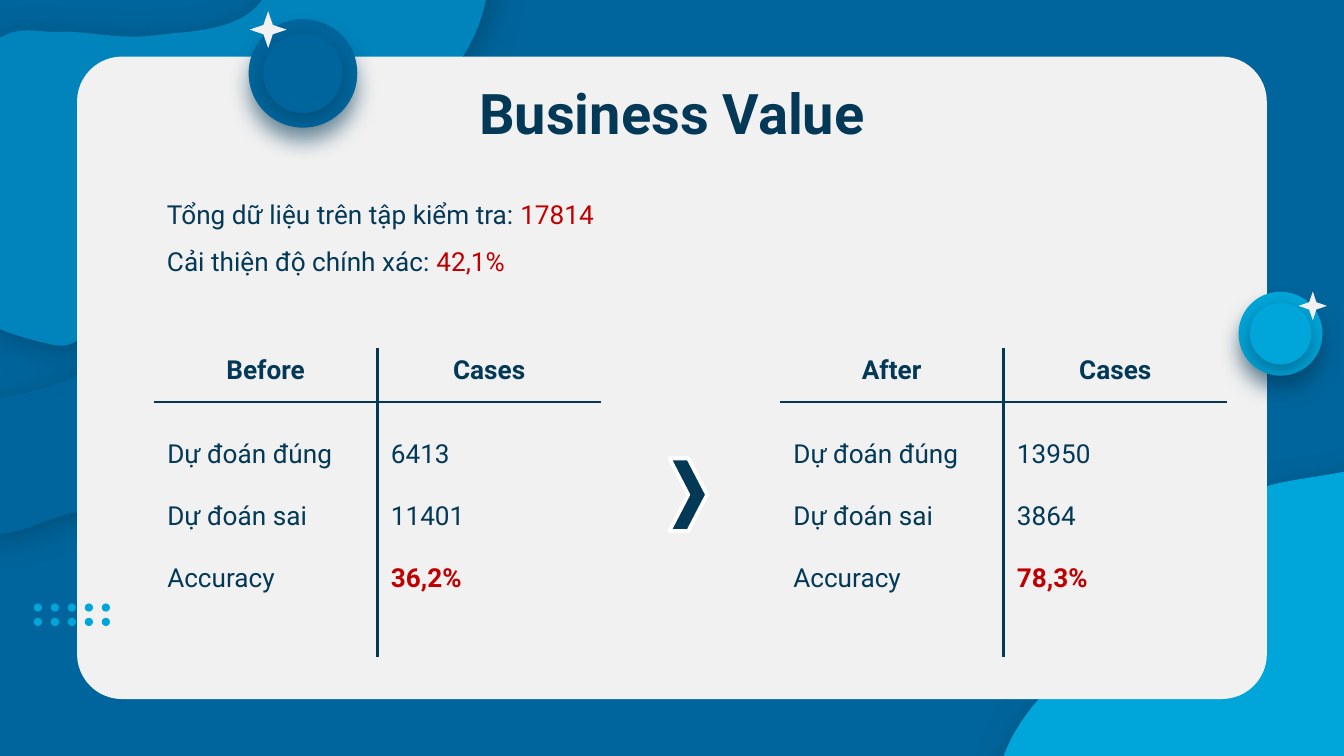
"""Build the Business Value slide comparing prediction accuracy before and after."""
from lxml import etree
from pptx import Presentation
from pptx.dml.color import RGBColor
from pptx.enum import shapes, text
from pptx.oxml import ns
from pptx.util import Pt

NAVY, DEEP, SKY, MID, PALE, RED = "033957", "00659C", "00A6D9", "0084BB", "F1F1F1", "C00000"
TITLE = "Business Value"
SUMMARY = [("Tổng dữ liệu trên tập kiểm tra: ", "17814"), ("Cải thiện độ chính xác: ", "42,1%")]
LABELS = ["Dự đoán đúng", "Dự đoán sai", "Accuracy"]
TABLES = [
    (82.4, "Before", ["6413", "11401", "36,2%"]),
    (417.8, "After", ["13950", "3864", "78,3%"]),
]
BLOBS = [
    (SKY, (16.9, 4.5, 80), [
        (814, 244), (829, 282), (762, 356), (824, 451), (773, 499), (724, 444), (679, 405),
        (569, 452), (536, 416), (562, 369), (602, 358), (639, 319), (661, 270), (713, 254)]),
    (DEEP, (16.9, 3, 71), [
        (142, 135), (184, 161), (163, 259), (107, 281), (46, 274), (-5, 285), (-30, 245),
        (-22, 221), (37, 203), (87, 168)]),
    (MID, (16.9, 3.8, 44), [
        (224, -103), (254, -90), (260, 2), (220, 59), (156, 69), (88, 104), (50, 174),
        (21, 183), (-32, 153), (-50, 71), (-3, 22), (32, 17), (82, 19), (138, 3), (166, -68)]),
]
BUTTONS = [
    (SKY, (686, 178.8), 22.5, (703.3, 163.9)),
    (DEEP, (162.3, 39.3), 29.1, (143.7, 15.9)),
]


def color(value):
    return RGBColor.from_string(value)


def element(parent, tag, **attrs):
    return etree.SubElement(parent, ns.qn(tag), {k: str(v) for k, v in attrs.items()})


def paint(sp, fill, shadow=None):
    sp.shadow.inherit = False
    sp.fill.solid()
    sp.fill.fore_color.rgb = color(fill)
    sp.line.fill.background()
    if shadow:
        blur, dist, angle = shadow
        effects = sp._element.spPr.find(ns.qn("a:effectLst"))
        outer = element(effects, "a:outerShdw", blurRad=Pt(blur), dist=Pt(dist),
                        dir=angle * 60000, algn="bl", rotWithShape=0)
        element(element(outer, "a:srgbClr", val=NAVY), "a:alpha", val=50000)
    return sp


def add_shape(s, kind, box, fill, shadow=None):
    return paint(s.shapes.add_shape(kind, *map(Pt, box)), fill, shadow)


def add_round(s, kind, center, radius, fill, shadow=None):
    x, y = center
    return add_shape(s, kind, (x - radius, y - radius, 2 * radius, 2 * radius), fill, shadow)


def add_blob(s, fill, shadow, knots, steps=12):
    points = []
    for i, b in enumerate(knots):
        a, c, d = (knots[(i + k) % len(knots)] for k in (-1, 1, 2))
        for t in (n / steps for n in range(steps)):
            points.append(tuple(
                Pt(q + t / 2 * (r - p + t * (2 * p - 5 * q + 4 * r - v
                                             + t * (3 * (q - r) + v - p))))
                for p, q, r, v in zip(a, b, c, d)))
    builder = s.shapes.build_freeform(*points[0])
    builder.add_line_segments(points[1:], close=True)
    paint(builder.convert_to_shape(), fill, shadow)


def add_button(s, fill, center, radius, star):
    for size, dist in ((radius, 7.5), (radius * 0.73, 3.8)):
        add_round(s, shapes.MSO_SHAPE.OVAL, center, size, fill, (11.2, dist, 90))
    sparkle = add_round(s, shapes.MSO_SHAPE.STAR_4_POINT, star, radius * 0.34, PALE)
    sparkle.adjustments[0] = 0.18


def add_run(p, words, fill=NAVY, **fmt):
    r = p.add_run()
    r.text = words
    for name, value in {"name": "Roboto", "size": Pt(14), "bold": False, **fmt}.items():
        setattr(r.font, name, value)
    r.font.color.rgb = color(fill)


def set_frame(tf):
    fmt = {"word_wrap": True, "auto_size": text.MSO_AUTO_SIZE.NONE,
           "vertical_anchor": text.MSO_ANCHOR.TOP}
    fmt.update({f"margin_{side}": Pt(7.2) for side in ("left", "right", "top", "bottom")})
    for name, value in fmt.items():
        setattr(tf, name, value)


def write_lines(tf, lines, spacing=1.0, align=text.PP_ALIGN.LEFT):
    for i, runs in enumerate(lines):
        p = tf.paragraphs[0] if i == 0 else tf.add_paragraph()
        p.alignment, p.line_spacing = align, spacing
        for words, fmt in runs:
            add_run(p, words, **fmt)


def set_borders(cell, visible):
    tcPr = cell._tc.get_or_add_tcPr()
    for i, side in enumerate("LRTB"):
        ln = etree.Element(ns.qn(f"a:ln{side}"), w=str(Pt(1.5)))
        if side in visible:
            element(element(ln, "a:solidFill"), "a:srgbClr", val=NAVY)
        else:
            element(ln, "a:noFill")
        tcPr.insert(i, ln)


def add_case_table(s, left, heading, values):
    table = s.shapes.add_table(2, 2, *map(Pt, (left, 186.5, 239.6, 165.6))).table
    table.first_row = table.horz_banding = False
    for row, height in zip(table.rows, (28.8, 136.8)):
        row.height = Pt(height)
    bodies = [[[(label, {})] for label in LABELS],
              [[(v, {"fill": RED, "bold": True} if v.endswith("%") else {})] for v in values]]
    for c, (head, body) in enumerate(zip((heading, "Cases"), bodies)):
        write_lines(table.cell(0, c).text_frame, [[(head, {"bold": True})]],
                    align=text.PP_ALIGN.CENTER)
        write_lines(table.cell(1, c).text_frame, body, spacing=2.0)
        for r in range(2):
            table.cell(r, c).fill.background()
            set_borders(table.cell(r, c), "RL"[c] + "BT"[r])


def main():
    prs = Presentation()
    prs.slide_width, prs.slide_height = Pt(720), Pt(405)
    s = prs.slides.add_slide(prs.slide_layouts[5])
    s.background.fill.solid()
    s.background.fill.fore_color.rgb = color(DEEP)

    for blob in BLOBS:
        add_blob(s, *blob)
    card = add_shape(s, shapes.MSO_SHAPE.ROUNDED_RECTANGLE, (41.3, 30.3, 637.4, 344.2), PALE)
    card.adjustments[0] = 0.07
    for button in BUTTONS:
        add_button(s, *button)
    for i in range(10):
        center = (20.3 + i % 5 * 9.1, 325.5 + i // 5 * 7.7)
        add_round(s, shapes.MSO_SHAPE.OVAL, center, 2.2, SKY)

    title = s.shapes.title
    title.left, title.top, title.width, title.height = map(Pt, (56.5, 34.6, 607, 45.4))
    s.shapes._spTree.append(title._element)
    set_frame(title.text_frame)
    write_lines(title.text_frame, [[(TITLE, {"size": Pt(30), "bold": True})]],
                align=text.PP_ALIGN.CENTER)

    tf = s.shapes.add_textbox(*map(Pt, (82.4, 90.7, 290.9, 50.4))).text_frame
    set_frame(tf)
    write_lines(tf, [[(label, {}), (value, {"fill": RED})] for label, value in SUMMARY], 1.5)

    for table in TABLES:
        add_case_table(s, *table)
    arrow = add_shape(s, shapes.MSO_SHAPE.CHEVRON, (358.6, 245.6, 20.2, 38.9), NAVY)
    arrow.line.color.rgb = color("FFFFFF")
    arrow.line.width = Pt(2)
    prs.save("out.pptx")


if __name__ == "__main__":
    main()
